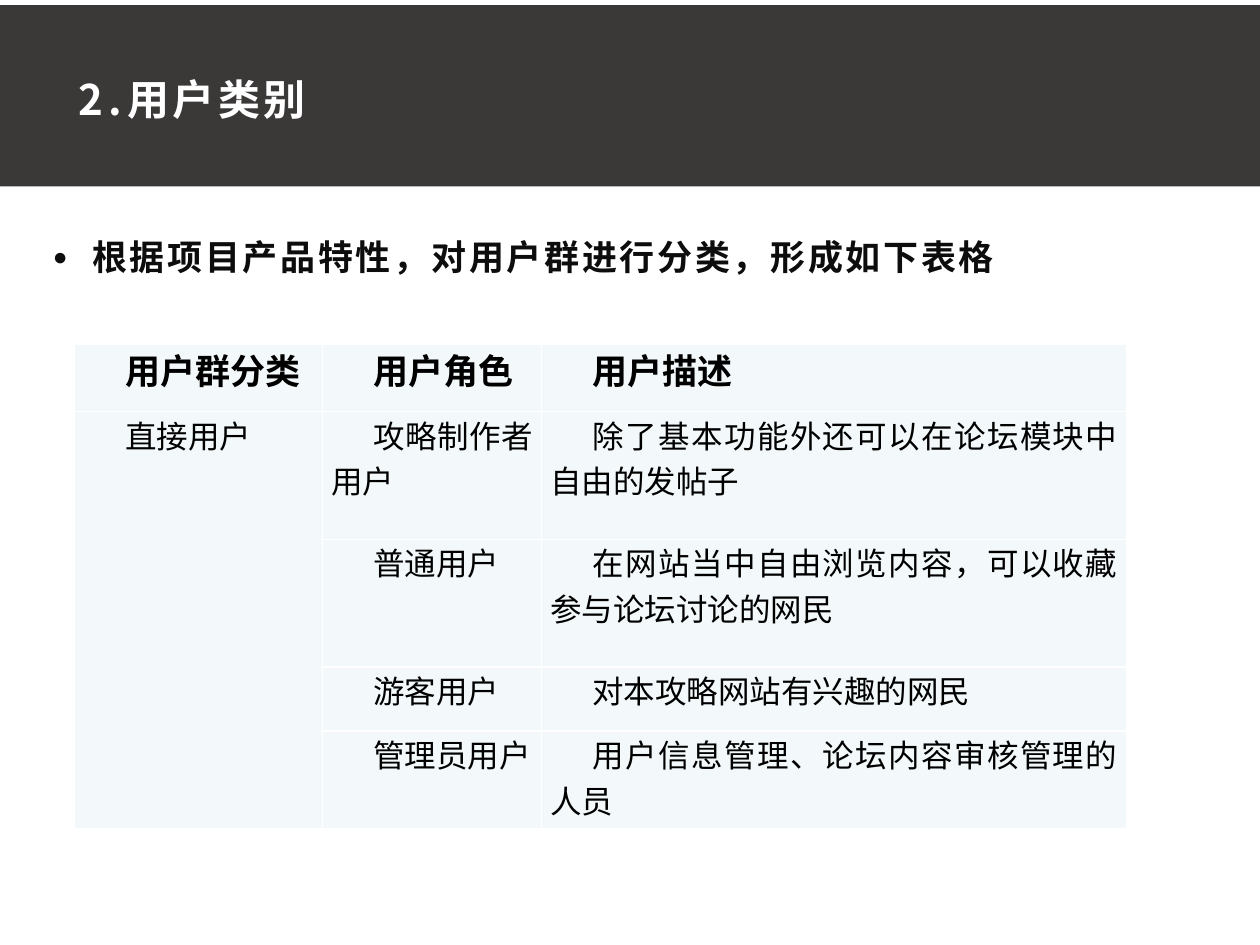
from lxml.etree import SubElement
from pptx import Presentation
from pptx.dml.color import RGBColor
from pptx.enum.shapes import MSO_SHAPE
from pptx.enum.text import MSO_ANCHOR, MSO_AUTO_SIZE, PP_ALIGN
from pptx.oxml.ns import qn
from pptx.util import Pt

COLORS = {"band": "3B3838", "white": "FFFFFF", "body": "0D0D0D",
          "black": "000000", "cell": "F3F9FA"}
CJK = "Noto Sans CJK SC"


def rgb(name):
    return RGBColor.from_string(COLORS[name])


def add_run(p, text, size, color, bold, font=CJK, spacing=0):
    """Add a run with Latin and East Asian fonts; spacing is in points."""
    r = p.add_run()
    r.text = text
    r.font.size, r.font.bold, r.font.name = Pt(size), bold, font
    r.font.color.rgb = rgb(color)
    rpr = r.font._element
    SubElement(rpr, qn("a:ea"), typeface=CJK)
    if spacing:
        rpr.set("spc", str(int(spacing * 100)))


prs = Presentation()
prs.slide_width, prs.slide_height = Pt(720), Pt(540)
s = prs.slides.add_slide(prs.slide_layouts[1])
title, body = s.placeholders

# Header band, behind the title
band = s.shapes.add_shape(MSO_SHAPE.RECTANGLE, 0, Pt(2.9), Pt(720), Pt(103.7))
band.shadow.inherit = False
band.fill.solid()
band.fill.fore_color.rgb = rgb("band")
band.line.fill.background()
s.shapes._spTree.insert(2, band._element)

# Title and lead sentence
for sp, box, anchor, left_inset in (
    (title, (36.7, 38.9, 656.6, 38.2), MSO_ANCHOR.TOP, 8),
    (body, (25.2, 114.5, 561.6, 56.2), MSO_ANCHOR.MIDDLE, 5),
):
    sp.left, sp.top, sp.width, sp.height = map(Pt, box)
    tf = sp.text_frame
    tf.word_wrap, tf.auto_size = True, MSO_AUTO_SIZE.NONE
    tf.vertical_anchor = anchor
    tf.margin_left, tf.margin_right = Pt(left_inset), Pt(5)
    tf.margin_top = tf.margin_bottom = Pt(3)
    tf.paragraphs[0].alignment = PP_ALIGN.LEFT

p = title.text_frame.paragraphs[0]
add_run(p, "2.", 24, "white", True, spacing=3)
add_run(p, "用户类别", 24, "white", True, spacing=2)

p = body.text_frame.paragraphs[0]
p.line_spacing, p.space_before, p.space_after = Pt(32), Pt(0), Pt(8)
ppr = p._p.get_or_add_pPr()
ppr.set("marL", str(Pt(22.5)))
ppr.set("indent", str(-Pt(22.5)))
SubElement(ppr, qn("a:buSzPct"), val="70000")
SubElement(ppr, qn("a:buChar"), char="●")
add_run(p, "根据项目产品特性，对用户群进行分类，形成如下表格", 20, "body", True, spacing=1.5)

# User category table
rows = [
    ("用户群分类", "用户角色", "用户描述"),
    ("直接用户", "攻略制作者用户", "除了基本功能外还可以在论坛模块中自由的发帖子"),
    ("", "普通用户", "在网站当中自由浏览内容，可以收藏参与论坛讨论的网民"),
    ("", "游客用户", "对本攻略网站有兴趣的网民"),
    ("", "管理员用户", "用户信息管理、论坛内容审核管理的人员"),
]
widths = (141.8, 125.3, 334.1)
heights = (38.6, 73, 73, 36.5, 56.2)
table = s.shapes.add_table(len(rows), len(widths), Pt(42.5), Pt(196.6),
                           Pt(sum(widths)), Pt(sum(heights))).table
for column, width in zip(table.columns, widths):
    column.width = Pt(width)
for row, height in zip(table.rows, heights):
    row.height = Pt(height)

for i, texts in enumerate(rows):
    for j, text in enumerate(texts):
        cell = table.cell(i, j)
        cell.margin_left = cell.margin_right = Pt(5)
        cell.margin_top = cell.margin_bottom = 0
        tcpr = cell._tc.get_or_add_tcPr()
        for side in ("lnL", "lnR", "lnT", "lnB"):
            ln = SubElement(tcpr, qn(f"a:{side}"), w=str(Pt(1)))
            fill = SubElement(ln, qn("a:solidFill"))
            SubElement(fill, qn("a:srgbClr"), val=COLORS["white"])
        cell.fill.solid()
        cell.fill.fore_color.rgb = rgb("cell")
        if text:
            p = cell.text_frame.paragraphs[0]
            p.alignment = PP_ALIGN.JUSTIFY
            p._p.get_or_add_pPr().set("indent", str(Pt(24)))
            add_run(p, text, 18 if i else 20, "black", i == 0, font="Arial")
table.cell(1, 0).merge(table.cell(4, 0))

prs.save("out.pptx")
